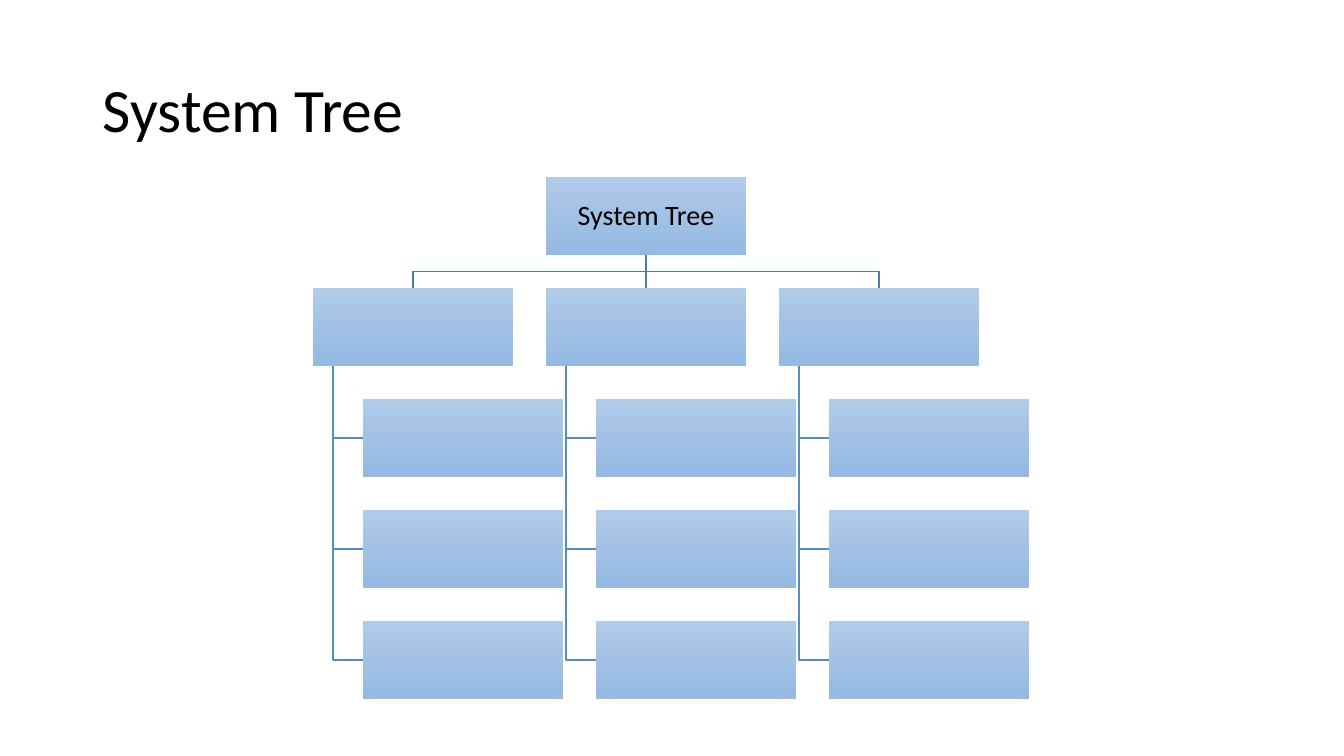
import copy
import pptx
import pptx.util
import pptx.dml.color
import pptx.enum.shapes
import pptx.enum.text
import pptx.oxml.ns
import lxml.etree

SCALE = 914400 / 100.8
WIDE, HIGH = 200, 78
STEP_X, STEP_Y = 233, 111
INDENT, SPINE = 50, 20
SHADES = [(0, "B1CBE9"), (0.5, "A3C1E5"), (1, "93B9E4")]
TRUNK, BRANCH = "497CAB", "538DC1"


def px(count):
    return pptx.util.Emu(round(count * SCALE))


def color(code):
    return pptx.dml.color.RGBColor.from_string(code)


def write(frame, text, size):
    frame.word_wrap = True
    frame.vertical_anchor = pptx.enum.text.MSO_ANCHOR.MIDDLE
    para = frame.paragraphs[0]
    para.text = text
    para.line_spacing = 0.9
    para.font.name = "Calibri"
    para.font.size = pptx.util.Pt(size)
    para.font.color.rgb = color("000000")
    return para


def add_title(slide, left, top, width, height):
    box = slide.shapes.add_textbox(px(left), px(top), px(width), px(height))
    write(box.text_frame, "System Tree", 44)


def add_node(slide, left, top):
    node = slide.shapes.add_shape(
        pptx.enum.shapes.MSO_SHAPE.RECTANGLE, px(left), px(top), px(WIDE), px(HIGH)
    )
    node.shadow.inherit = False
    node.line.fill.background()
    node.fill.gradient()
    node.fill.gradient_angle = 270
    stops = next(node.element.iter(pptx.oxml.ns.qn("a:gsLst")))
    stops.insert(1, copy.deepcopy(stops[0]))
    for stop, (place, shade) in zip(node.fill.gradient_stops, SHADES):
        stop.position = place
        stop.color.rgb = color(shade)
    return node


def add_path(slide, points, shade):
    start, *rest = [(px(x), px(y)) for x, y in points]
    form = slide.shapes.build_freeform(*start)
    form.add_line_segments(rest, close=False)
    path = form.convert_to_shape()
    path.shadow.inherit = False
    path.fill.background()
    path.line.color.rgb = color(shade)
    path.line.width = pptx.util.Pt(1)


def add_stem(slide, upper, lower):
    stem = slide.shapes.add_connector(pptx.enum.shapes.MSO_CONNECTOR.STRAIGHT, 0, 0, 0, 0)
    stem.begin_connect(upper, 2)
    stem.end_connect(lower, 0)
    stem.line.color.rgb = color(TRUNK)
    stem.line.width = pptx.util.Pt(1)
    lxml.etree.SubElement(stem.element.spPr, pptx.oxml.ns.qn("a:effectLst"))


def add_column(slide, left, top):
    for row in range(3, 0, -1):
        level = top + row * STEP_Y
        middle = level + HIGH / 2
        spine = left + SPINE
        points = [(spine, top + HIGH), (spine, middle), (left + INDENT, middle)]
        add_path(slide, points, BRANCH)
        add_node(slide, left + INDENT, level)
    return add_node(slide, left, top)


def add_tree(slide, left, top):
    center = left + STEP_X + WIDE / 2
    base, head = top + HIGH, top + STEP_Y
    bar = (base + head) / 2
    for side in (-1, 1):
        end = center + side * STEP_X
        add_path(slide, [(center, base), (center, bar), (end, bar), (end, head)], TRUNK)
    heads = [add_column(slide, left + col * STEP_X, head) for col in range(3)]
    root = add_node(slide, left + STEP_X, top)
    frame = root.text_frame
    frame.margin_left = frame.margin_right = px(1)
    frame.margin_top = frame.margin_bottom = px(1)
    para = write(frame, "System Tree", 20)
    para.alignment = pptx.enum.text.PP_ALIGN.CENTER
    add_stem(slide, root, heads[1])


def main():
    deck = pptx.Presentation()
    deck.slide_width, deck.slide_height = px(1344), px(756)
    slide = deck.slides.add_slide(deck.slide_layouts[6])
    add_tree(slide, 313, 177)
    add_title(slide, 93, 40, 1159, 146)
    deck.save("out.pptx")


if __name__ == "__main__":
    main()
